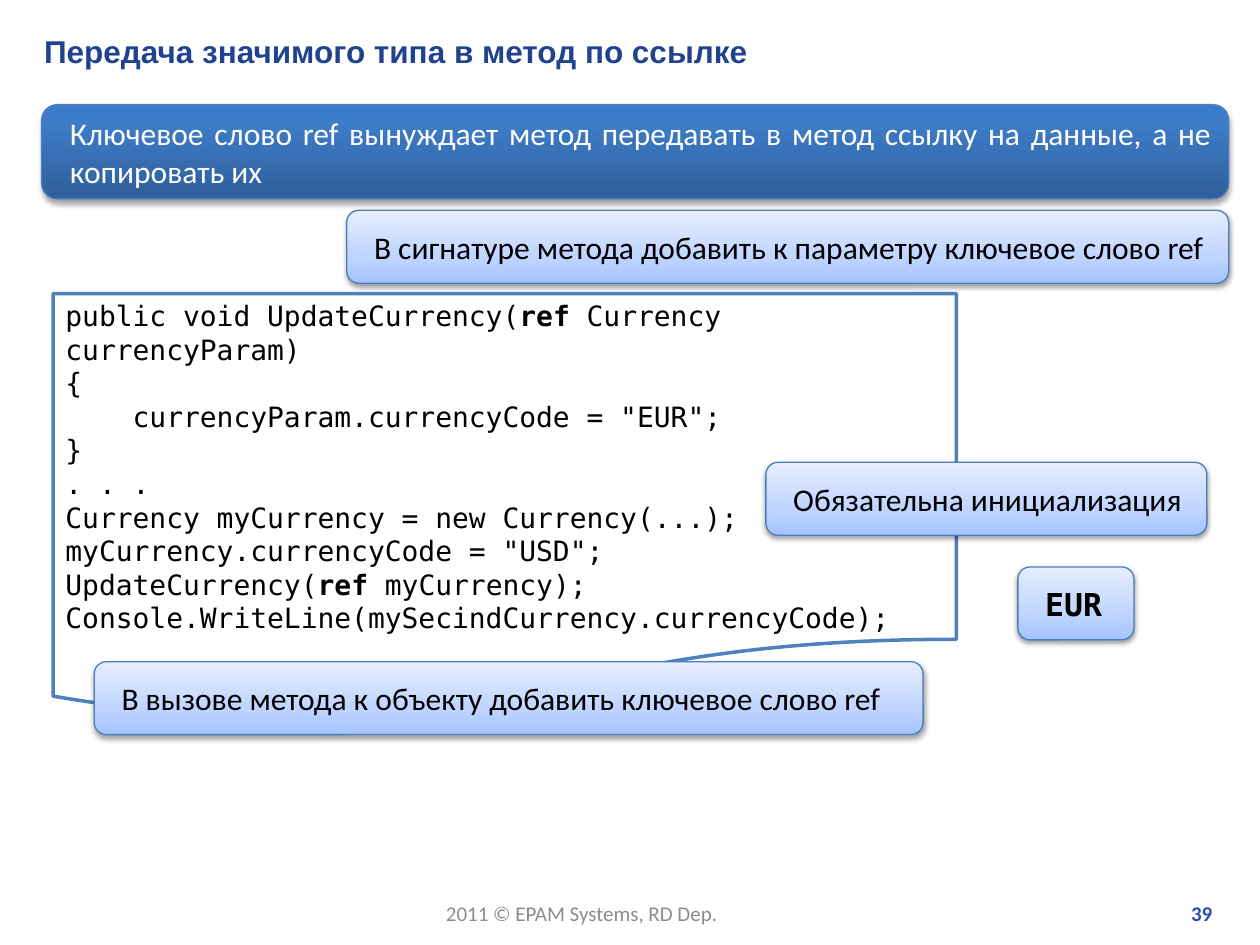
from lxml import etree
from pptx import Presentation
from pptx import util as u
from pptx.dml import color
from pptx.enum import shapes, text
from pptx.oxml import ns

COLORS = {
    "title": "21438F", "footer": "8C8C8C", "number": "2750AB",
    "white": "FFFFFF", "black": "000000",
    "code_line": "4F81BD", "panel_line": "4B7EBC",
}
BANNER = {"stops": [(0, "2F5F99"), (80, "3D7CC7"), (100, "3A7CCB")],
          "alpha": 35, "distance": 1.8}
CALLOUT = {"stops": [(0, "A4C4FF"), (35, "BFD4FF"), (100, "E6EEFF")],
           "alpha": 38, "distance": 1.6}
CALLOUT_HEIGHT = 1.47
MONO = "DejaVu Sans Mono"
CODE = [
    ["public void UpdateCurrency(", "ref ", "Currency currencyParam)"],
    ["{"],
    ["    currencyParam.currencyCode = \"EUR\";"],
    ["}"],
    [". . ."],
    ["Currency myCurrency = new Currency(...);"],
    ["myCurrency.currencyCode = \"USD\";"],
    ["UpdateCurrency(", "ref", " myCurrency);"],
    ["Console.WriteLine(mySecindCurrency.currencyCode);"],
]
CALLOUTS = [
    ((20.52, 11.43, 2.34), "EUR", {"name": MONO, "bold": True}),
    ((6.99, 4.24, 17.78), "В сигнатуре метода добавить к параметру ключевое слово ref", {}),
    ((1.9, 13.34, 16.71), "В вызове метода к объекту добавить ключевое слово ref", {}),
    ((15.44, 9.32, 8.89), "Обязательна инициализация", {}),
]


def rgb(key):
    """Return the palette colour for a key."""
    return color.RGBColor.from_string(COLORS[key])


def lengths(box):
    """Convert a box in centimetres to lengths."""
    return [u.Cm(value) for value in box]


def set_attributes(target, values):
    """Set each attribute named in a dict of values."""
    for name, value in values.items():
        setattr(target, name, value)


def add_run(paragraph, words, ink, size, **font_values):
    """Add a formatted run to a paragraph."""
    run = paragraph.add_run()
    run.text = words
    set_attributes(run.font, {"name": "Calibri", "size": u.Pt(size), **font_values})
    run.font.color.rgb = rgb(ink)


def add_child(parent, tag, **attributes):
    """Append a DrawingML element with attributes."""
    return etree.SubElement(parent, ns.qn(tag), {k: str(v) for k, v in attributes.items()})


def add_label(slide, box, words, ink, size, frame_values, align=text.PP_ALIGN.LEFT, **font_values):
    """Place one line of text in the box."""
    frame = slide.shapes.add_textbox(*lengths(box)).text_frame
    set_attributes(frame, {"word_wrap": True, **frame_values})
    frame.paragraphs[0].alignment = align
    add_run(frame.paragraphs[0], words, ink, size, **font_values)


def add_outlined(slide, kind, box, line, width):
    """Place a flat outlined shape with middle-anchored text."""
    shape = slide.shapes.add_shape(kind, *lengths(box))
    shape.shadow.inherit = False
    shape.line.color.rgb = rgb(line)
    shape.line.width = u.Pt(width)
    set_attributes(shape.text_frame, {"word_wrap": True,
                                      "vertical_anchor": text.MSO_ANCHOR.MIDDLE})
    return shape


def add_panel(slide, box, words, ink, look, **font_values):
    """Place a rounded gradient panel with a soft shadow in the box."""
    panel = add_outlined(slide, shapes.MSO_SHAPE.ROUNDED_RECTANGLE, box, "panel_line", 0.75)
    panel.fill.gradient()
    panel.fill.gradient_angle = 90
    properties = panel.element.spPr
    stops = properties.find(".//" + ns.qn("a:gsLst"))
    for stop in list(stops):
        stops.remove(stop)
    for position, shade in look["stops"]:
        add_child(add_child(stops, "a:gs", pos=position * 1000), "a:srgbClr", val=shade)
    shadow = add_child(properties.find(ns.qn("a:effectLst")), "a:outerShdw",
                       blurRad=u.Pt(3.1), dist=u.Pt(look["distance"]),
                       dir=5400000, rotWithShape=0)
    shade = add_child(shadow, "a:srgbClr", val=COLORS["black"])
    add_child(shade, "a:alpha", val=look["alpha"] * 1000)
    paragraph = panel.text_frame.paragraphs[0]
    paragraph.alignment = text.PP_ALIGN.JUSTIFY
    paragraph._p.get_or_add_pPr().set("marL", str(u.Cm(0.23)))
    add_run(paragraph, words, ink, 18, **font_values)


def add_code(slide, box):
    """Place the code listing on a document outline in the box."""
    page = add_outlined(slide, shapes.MSO_SHAPE.FLOWCHART_DOCUMENT, box, "code_line", 2)
    page.fill.solid()
    page.fill.fore_color.rgb = rgb("white")
    frame = page.text_frame
    for index, pieces in enumerate(CODE):
        paragraph = frame.add_paragraph() if index else frame.paragraphs[0]
        paragraph.alignment = text.PP_ALIGN.LEFT
        for piece in pieces:
            add_run(paragraph, piece, "black", 16, name=MONO, bold=piece.strip() == "ref")


def add_footer(slide, box):
    """Place the copyright line and the page number along the box."""
    left, top, width, height = box
    number_width = 5.38
    add_label(slide, (left, top, 6.07, height), "2011 © EPAM Systems, RD Dep.",
              "footer", 12, {"word_wrap": False})
    add_label(slide, (left + width - number_width, top, number_width, height), "39",
              "number", 12, {}, text.PP_ALIGN.RIGHT, bold=True)


def main():
    """Build the slide and save it."""
    deck = Presentation()
    set_attributes(deck, {"slide_width": u.Cm(25.4), "slide_height": u.Cm(19.05)})
    slide = deck.slides.add_slide(deck.slide_layouts[6])
    add_footer(slide, (8.74, 18.03, 15.95, 0.76))
    add_label(slide, (0.64, 0.51, 24.23, 1.02), "Передача значимого типа в метод по ссылке",
              "title", 18, {"vertical_anchor": text.MSO_ANCHOR.MIDDLE}, name="Arial", bold=True)
    add_panel(slide, (0.84, 2.11, 23.93, 1.9),
              "Ключевое слово ref вынуждает метод передавать в метод ссылку на данные, "
              "а не копировать их", "white", BANNER)
    add_code(slide, (1.07, 5.92, 18.21, 8.69))
    for place, words, font_values in CALLOUTS:
        add_panel(slide, (*place, CALLOUT_HEIGHT), words, "black", CALLOUT, **font_values)
    deck.save("out.pptx")


if __name__ == "__main__":
    main()
